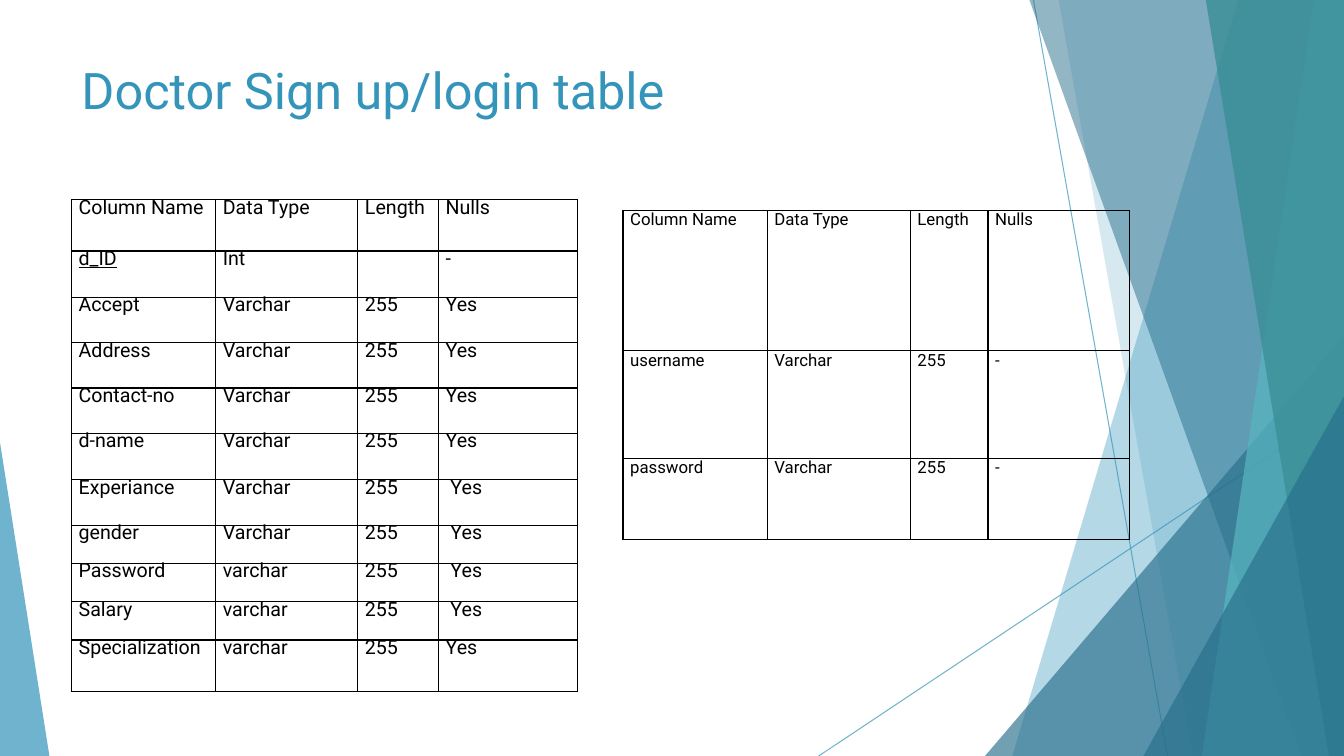
from lxml.etree import SubElement
from pptx import Presentation
from pptx.dml.color import RGBColor
from pptx.enum.shapes import MSO_CONNECTOR, MSO_SHAPE
from pptx.enum.text import MSO_ANCHOR
from pptx.oxml.ns import qn
from pptx.util import Inches, Pt

BLUE = RGBColor(0x34, 0x94, 0xBA)
DARK_BLUE = RGBColor(0x27, 0x6F, 0x8B)
TEAL = RGBColor(0x58, 0xB6, 0xC0)
DARK_TEAL = RGBColor(0x3A, 0x8F, 0x98)
BLACK = RGBColor(0, 0, 0)
FONT = "Roboto"
WIDTH, HEIGHT = 13.33, 7.5
NO_STYLE = "{2D5ABB26-0587-4C30-8999-92F81FD0307C}"

presentation = Presentation()
presentation.slide_width = Inches(WIDTH)
presentation.slide_height = Inches(HEIGHT)
slide = presentation.slides.add_slide(presentation.slide_layouts[6])
shapes = slide.shapes


def set_opacity(shape, percent):
    for color in shape._element.spPr.iter(qn("a:srgbClr")):
        SubElement(color, qn("a:alpha"), val=str(percent * 1000))


def add_schema_table(left, top, columns, rows, size, spacing, records):
    frame = shapes.add_table(len(rows), len(columns), Inches(left), Inches(top),
                             Inches(sum(columns)), Inches(sum(rows)))
    table = frame.table
    table.first_row = table.horz_banding = False
    table._tbl.tblPr.find(qn("a:tableStyleId")).text = NO_STYLE
    for column, width in zip(table.columns, columns):
        column.width = Inches(width)
    for row, height, record in zip(table.rows, rows, records):
        row.height = Inches(height)
        for cell, text in zip(row.cells, record):
            cell.margin_left = cell.margin_right = 0
            cell.margin_top = cell.margin_bottom = 0
            # Borders come before the fill in the cell properties
            properties = cell._tc.get_or_add_tcPr()
            for side in ("lnL", "lnR", "lnT", "lnB"):
                border = SubElement(properties, qn(f"a:{side}"), w=str(Pt(1)))
                fill = SubElement(border, qn("a:solidFill"))
                SubElement(fill, qn("a:srgbClr"), val=str(BLACK))
            cell.fill.background()
            paragraph = cell.text_frame.paragraphs[0]
            paragraph.line_spacing = Pt(spacing)
            paragraph._p.get_or_add_pPr().set("marL", str(Inches(0.07)))
            paragraph.font.size = Pt(size)
            if text:
                run = paragraph.add_run()
                run.text = text
                run.font.name = FONT
                run.font.size = Pt(size)
                run.font.color.rgb = BLACK
                if text == "d_ID":
                    run.font.underline = True


# Thin crossing lines
for start_x, start_y, end_x in ((10.25, 0, 11.58), (WIDTH, 4.03, 8.12)):
    line = shapes.add_connector(MSO_CONNECTOR.STRAIGHT, Inches(start_x), Inches(start_y),
                                Inches(end_x), Inches(HEIGHT))
    line.line.color.rgb = BLUE
    line.line.width = Pt(0.75)
    set_opacity(line, 70)
    SubElement(line._element.spPr, qn("a:effectLst"))

# Facets: bands give the top and bottom x of their left edge and reach the right
# edge; triangles give left, top, width and apex, and stand on the bottom edge
facets = [
    ((12.28, 10.04), BLUE, 36),
    ((10.5, 11.83), BLUE, 20),
    ((9.77, 3.33, 3.56, 1), DARK_BLUE, 66),
    ((10.21, 12.91), DARK_BLUE, 50),
    ((13.03, 11.92), TEAL, 70),
    ((11.96, 13.18), DARK_TEAL, 80),
    ((11.34, 3.93, 1.99, 1), DARK_BLUE, 66),
    ((0, 4.39, 0.49, 0), BLUE, 70),
]
for geometry, color, opacity in facets:
    if len(geometry) == 2:
        top_x, bottom_x = geometry
        builder = shapes.build_freeform(Inches(top_x), 0)
        corners = [(WIDTH, 0), (WIDTH, HEIGHT), (bottom_x, HEIGHT)]
        builder.add_line_segments([(Inches(x), Inches(y)) for x, y in corners])
        facet = builder.convert_to_shape()
    else:
        left, top, width, apex = geometry
        facet = shapes.add_shape(MSO_SHAPE.ISOSCELES_TRIANGLE, Inches(left), Inches(top),
                                 Inches(width), Inches(HEIGHT - top))
        facet.adjustments[0] = apex
    facet.shadow.inherit = False
    facet.fill.solid()
    facet.fill.fore_color.rgb = color
    facet.line.fill.background()
    set_opacity(facet, opacity)

# Title
title = shapes.add_textbox(Inches(0.71), Inches(0.5), Inches(10.29), Inches(0.77))
title.text_frame.word_wrap = True
title.text_frame.vertical_anchor = MSO_ANCHOR.MIDDLE
run = title.text_frame.paragraphs[0].add_run()
run.text = "Doctor Sign up/login table"
run.font.name = FONT
run.font.size = Pt(36)
run.font.color.rgb = BLUE

# Sign-up and login tables
header = ("Column Name", "Data Type", "Length", "Nulls")
sign_up = [
    header,
    ("d_ID", "Int", "", "-"),
    ("Accept", "Varchar", "255", "Yes"),
    ("Address", "Varchar", "255", "Yes"),
    ("Contact-no", "Varchar", "255", "Yes"),
    ("d-name", "Varchar", "255", "Yes"),
    ("Experiance", "Varchar", "255", " Yes"),
    ("gender", "Varchar", "255", " Yes"),
    ("Password", "varchar", "255", " Yes"),
    ("Salary", "varchar", "255", " Yes"),
    ("Specialization", "varchar", "255", "Yes"),
]
login = [
    header,
    ("username", "Varchar", "255", "-"),
    ("password", "Varchar", "255", "-"),
]
add_schema_table(0.71, 1.98, [1.43, 1.41, 0.8, 1.38],
                 [0.51, 0.46] + [0.45] * 3 + [0.46, 0.45] + [0.38] * 3 + [0.51],
                 14, 13.8, sign_up)
add_schema_table(6.18, 2.09, [1.43, 1.42, 0.77, 1.4], [1.39, 1.07, 0.8], 12, 13.8, login)

presentation.save("out.pptx")
